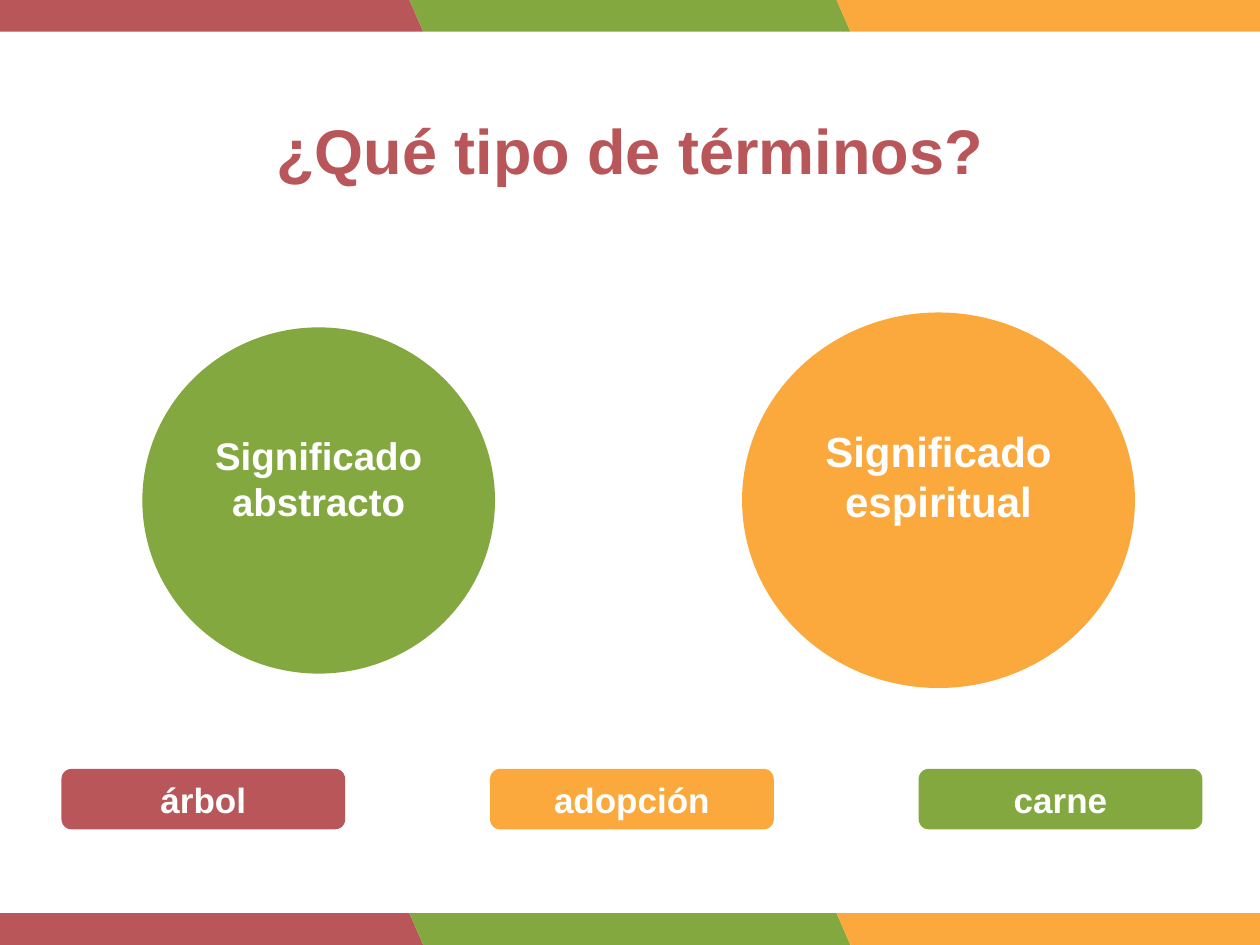
from pptx import Presentation
from pptx.dml.color import RGBColor
from pptx.enum.shapes import MSO_SHAPE
from pptx.enum.text import MSO_ANCHOR, PP_ALIGN
from pptx.util import Cm, Pt

# Content
RED, GREEN, ORANGE, WHITE = "B95659", "83A83F", "FBA93D", "FFFFFF"
TITLE = "¿Qué tipo de términos?"
CIRCLES = [  # text, colour, size, (left, top, width, height) in cm
    ("Significado abstracto", GREEN, 22, (2.87, 6.6, 7.11, 6.98)),
    ("Significado espiritual", ORANGE, 24, (14.96, 6.3, 7.92, 7.57)),
]
TERMS = [("árbol", RED), ("adopción", ORANGE), ("carne", GREEN)]
BAND_COLOURS = [RED, GREEN, ORANGE]

# Layout in cm
SLIDE_W, SLIDE_H = 25.4, 19.05
BAND_W, BAND_H, BAND_SLANT = 8.89, 0.64, 0.436
BAND_STEP = BAND_W - BAND_H * BAND_SLANT
TERM_LEFT, TERM_TOP, TERM_W, TERM_H, TERM_STEP = 1.24, 15.5, 5.72, 1.22, 8.64
LINE_CM_PER_PT = 1.15 * 2.54 / 72


def rgb(colour):
    return RGBColor.from_string(colour)


def add_block(s, kind, box, colour):
    sp = s.shapes.add_shape(kind, *[Cm(v) for v in box])
    sp.shadow.inherit = False
    sp.fill.solid()
    sp.fill.fore_color.rgb = rgb(colour)
    sp.line.fill.background()
    return sp


def set_text(sp, text, size, colour):
    tf = sp.text_frame
    tf.word_wrap = True
    tf.vertical_anchor = MSO_ANCHOR.MIDDLE
    p = tf.paragraphs[0]
    p.text = text
    p.alignment = PP_ALIGN.CENTER
    p.font.name = "Arial"
    p.font.size = Pt(size)
    p.font.bold = True
    p.font.color.rgb = rgb(colour)


def add_band(s, top):
    left = (SLIDE_W - BAND_W) / 2 - BAND_STEP
    for i, colour in enumerate(BAND_COLOURS):
        box = (left + i * BAND_STEP, top, BAND_W, BAND_H)
        sp = add_block(s, MSO_SHAPE.PARALLELOGRAM, box, colour)
        sp.adjustments[0] = BAND_SLANT
        sp._element.spPr.xfrm.set("flipH", "1")


def main():
    prs = Presentation()
    prs.slide_width, prs.slide_height = Cm(SLIDE_W), Cm(SLIDE_H)
    s = prs.slides.add_slide(prs.slide_layouts[5])

    # Coloured bands at both edges
    for top in (SLIDE_H - BAND_H, 0):
        add_band(s, top)

    # Title
    title = s.shapes.title
    title.left, title.top, title.width, title.height = Cm(0.46), Cm(2.11), Cm(24.48), Cm(1.8)
    set_text(title, TITLE, 36, RED)

    # Circles, with text raised by half a line
    for text, colour, size, box in CIRCLES:
        sp = add_block(s, MSO_SHAPE.OVAL, box, colour)
        set_text(sp, text, size, WHITE)
        sp.text_frame.margin_bottom = Cm(0.13 + size * LINE_CM_PER_PT)

    # Terms to classify
    for i, (text, colour) in enumerate(TERMS):
        box = (TERM_LEFT + i * TERM_STEP, TERM_TOP, TERM_W, TERM_H)
        sp = add_block(s, MSO_SHAPE.ROUNDED_RECTANGLE, box, colour)
        set_text(sp, text, 20, WHITE)

    prs.save("out.pptx")


if __name__ == "__main__":
    main()
